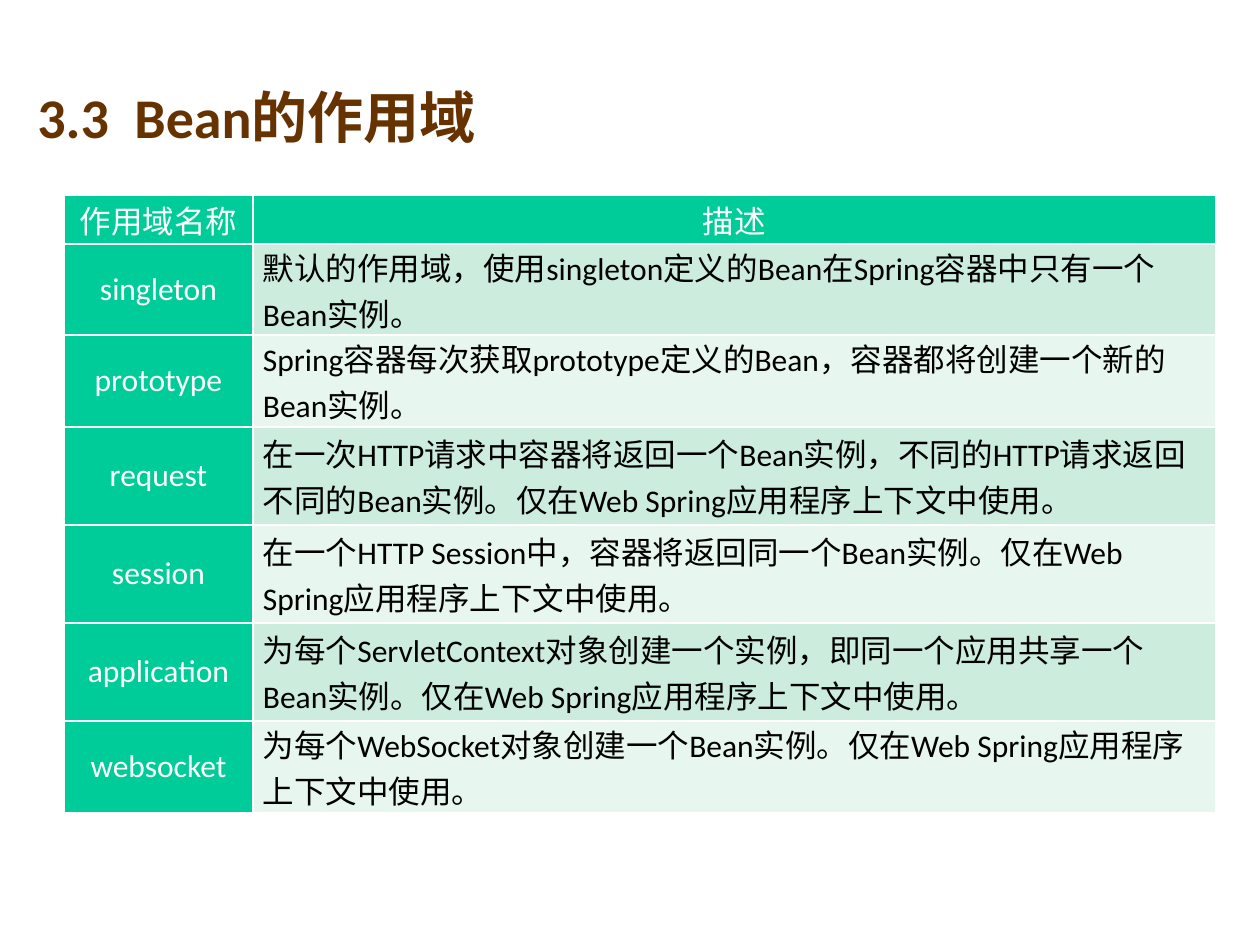
from lxml import etree
from pptx import Presentation
from pptx import util as u
from pptx.dml.color import RGBColor
from pptx.enum import shapes, text
from pptx.oxml import ns

PX = 914400 // 126
FONT = "Calibri"
WHITE = RGBColor(0xFF, 0xFF, 0xFF)
BLACK = RGBColor(0x00, 0x00, 0x00)
BROWN = RGBColor(0x66, 0x33, 0x00)
GREEN = RGBColor(0x00, 0xCC, 0x99)
BANDS = [RGBColor(0xCC, 0xEC, 0xDE), RGBColor(0xE7, 0xF6, 0xEF)]

WIDTHS = [189, 963]
HEIGHTS = [49, 91, 92, 98, 98, 98, 92]
ROWS = [
    ("作用域名称", "描述"),
    ("singleton", "默认的作用域，使用singleton定义的Bean在Spring容器中只有一个Bean实例。"),
    ("prototype", "Spring容器每次获取prototype定义的Bean，容器都将创建一个新的Bean实例。"),
    ("request", "在一次HTTP请求中容器将返回一个Bean实例，不同的HTTP请求返回不同的Bean实例。"
                "仅在Web Spring应用程序上下文中使用。"),
    ("session", "在一个HTTP Session中，容器将返回同一个Bean实例。"
                "仅在Web Spring应用程序上下文中使用。"),
    ("application", "为每个ServletContext对象创建一个实例，即同一个应用共享一个Bean实例。"
                    "仅在Web Spring应用程序上下文中使用。"),
    ("websocket", "为每个WebSocket对象创建一个Bean实例。仅在Web Spring应用程序上下文中使用。"),
]


def style(par, size, color, bold=False):
    font = par.font
    font.name, font.size, font.bold = FONT, u.Pt(size), bold
    font.color.rgb = color


def edge(cell, color):
    props = cell._tc.get_or_add_tcPr()
    for i, side in enumerate(("lnL", "lnR", "lnT", "lnB")):
        line = etree.Element(ns.qn("a:" + side), w=str(u.Pt(1)))
        fill = etree.SubElement(line, ns.qn("a:solidFill"))
        etree.SubElement(fill, ns.qn("a:srgbClr"), val=str(color))
        props.insert(i, line)


deck = Presentation()
deck.slide_width, deck.slide_height = u.Inches(10), u.Inches(7.5)
slide = deck.slides.add_slide(deck.slide_layouts[6])

# Top band
band = slide.shapes.add_shape(shapes.MSO_SHAPE.RECTANGLE, 0, 0, 1260 * PX, 125 * PX)
band.shadow.inherit = False
band.fill.solid()
band.fill.fore_color.rgb = band.line.color.rgb = WHITE
band.line.width = u.Pt(0.5)

# Title
box = slide.shapes.add_textbox(25 * PX, 87 * PX, 1134 * PX, 58 * PX)
frame = box.text_frame
frame.word_wrap = True
frame.vertical_anchor = text.MSO_ANCHOR.MIDDLE
frame.text = "3.3  Bean的作用域"
style(frame.paragraphs[0], 32, BROWN, True)

# Table of scopes
table = slide.shapes.add_table(len(ROWS), len(WIDTHS), 64 * PX, 195 * PX,
                               sum(WIDTHS) * PX, sum(HEIGHTS) * PX).table
for col, width in zip(table.columns, WIDTHS):
    col.width = width * PX
for r, (height, row) in enumerate(zip(HEIGHTS, ROWS)):
    table.rows[r].height = height * PX
    for c, words in enumerate(row):
        cell = table.cell(r, c)
        head = r == 0 or c == 0
        cell.text = words
        cell.vertical_anchor = text.MSO_ANCHOR.MIDDLE
        cell.margin_left = cell.margin_right = 10 * PX
        cell.margin_top = cell.margin_bottom = 0
        cell.fill.solid()
        cell.fill.fore_color.rgb = GREEN if head else BANDS[(r - 1) % 2]
        edge(cell, WHITE)
        par = cell.text_frame.paragraphs[0]
        par.alignment = text.PP_ALIGN.CENTER if head else text.PP_ALIGN.LEFT
        style(par, 18, WHITE if head else BLACK)

deck.save("out.pptx")
